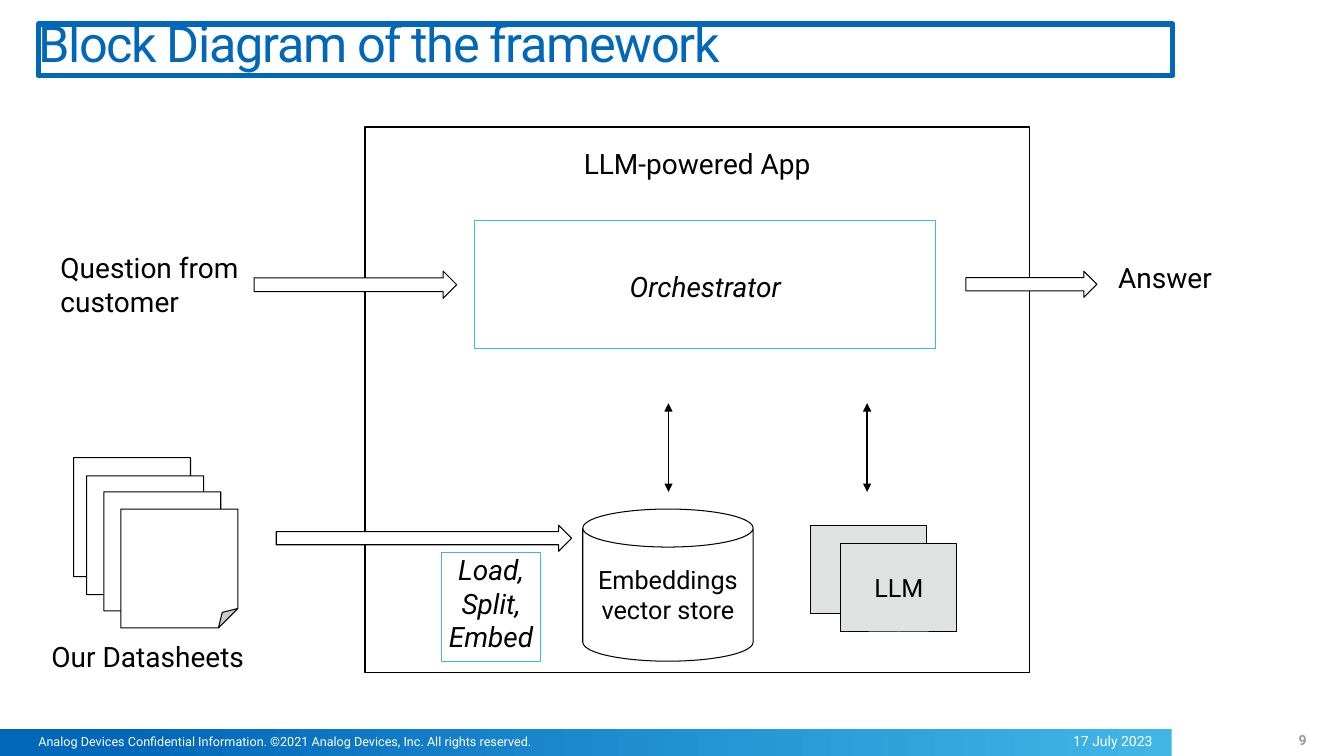
from lxml import etree
from pptx import Presentation
from pptx.dml.color import RGBColor
from pptx.enum.shapes import MSO_CONNECTOR, MSO_SHAPE
from pptx.enum.text import MSO_ANCHOR, PP_ALIGN
from pptx.oxml.ns import qn
from pptx.util import Emu, Pt

PX = 9144
FONT = "Roboto"
COLORS = {"black": "000000", "white": "FFFFFF", "blue": "0067B9",
          "sky": "41B6E6", "grey": "E0E1E1", "number": "98999D"}
RECT, CAN = MSO_SHAPE.RECTANGLE, MSO_SHAPE.CAN
SHEET, ARROW = MSO_SHAPE.FOLDED_CORNER, MSO_SHAPE.RIGHT_ARROW
STRAIGHT = MSO_CONNECTOR.STRAIGHT
LEFT, CENTER, RIGHT = PP_ALIGN.LEFT, PP_ALIGN.CENTER, PP_ALIGN.RIGHT
TOP, MIDDLE, BOTTOM = MSO_ANCHOR.TOP, MSO_ANCHOR.MIDDLE, MSO_ANCHOR.BOTTOM


def px(*values):
    """Turn px lengths into EMU."""
    return [Emu(v * PX) for v in values]


def rgb(name):
    """Look up a named colour."""
    return RGBColor.from_string(COLORS[name])


def add_box(s, kind, box, fill="white", line="black", width=0.75):
    """Add a flat preset shape; None leaves out its fill or line."""
    sp = s.shapes.add_shape(kind, *px(*box))
    sp.shadow.inherit = False
    if fill:
        sp.fill.solid()
        sp.fill.fore_color.rgb = rgb(fill)
    else:
        sp.fill.background()
    if line:
        sp.line.color.rgb = rgb(line)
        sp.line.width = Pt(width)
    else:
        sp.line.fill.background()
    return sp


def write(sp, text, size=20, color="black", bold=False, italic=False, align=LEFT,
          anchor=TOP, insets=(0, 0, 0, 0), spacing=None, tracking=None):
    """Put formatted text into a shape or text box."""
    tf = sp.text_frame
    tf.word_wrap = True
    tf.vertical_anchor = anchor
    tf.margin_left, tf.margin_top, tf.margin_right, tf.margin_bottom = px(*insets)
    p = tf.paragraphs[0]
    p.text = text
    p.alignment = align
    p.line_spacing = spacing
    for r in p.runs:
        r.font.name, r.font.size = FONT, Pt(size)
        r.font.bold, r.font.italic = bold, italic
        r.font.color.rgb = rgb(color)
        if tracking:
            r.font._element.set("spc", str(tracking))


def add_label(s, box, text, **fmt):
    """Add a text box."""
    write(s.shapes.add_textbox(*px(*box)), text, **fmt)


def add_double_arrow(s, x, top, bottom):
    """Add a vertical line with a head at each end."""
    line = s.shapes.add_connector(STRAIGHT, *px(x, top, x, bottom))
    line.line.color.rgb = rgb("black")
    line.line.width = Pt(1)
    ln = line.line._get_or_add_ln()
    for end in ("a:headEnd", "a:tailEnd"):
        etree.SubElement(ln, qn(end), type="triangle")
    etree.SubElement(line._element.spPr, qn("a:effectLst"))


def draw_footer(s, box):
    """Draw the gradient bar with copyright, date and page number."""
    x, y, w, h = box
    bar = add_box(s, RECT, (x, y, w - 171, h), line=None)
    bar.fill.gradient()
    bar.fill.gradient_angle = 180
    for stop, color, position in zip(bar.fill.gradient_stops, ("sky", "blue"), (0, 0.9)):
        stop.color.rgb = rgb(color)
        stop.position = position
    fmt = {"anchor": MIDDLE, "spacing": 0.8}
    add_label(s, (x + 38, y + 1, 881, 26),
              "Analog Devices Confidential Information. ©2021 Analog Devices, Inc. All rights reserved.",
              size=9, color="white", insets=(0, 10, 10, 10), **fmt)
    add_label(s, (x + 919, y + 1, 244, 26), "17 July 2023", size=10, color="white",
              align=RIGHT, insets=(0, 0, 20, 0), **fmt)
    add_label(s, (x + 1163, y, 133, 26), "9", size=10, color="number", bold=True,
              align=RIGHT, insets=(10, 10, 0, 10), **fmt)


def draw_title(s, box):
    """Draw the outlined slide title."""
    sp = add_box(s, RECT, box, fill=None, line="blue", width=4)
    write(sp, "Block Diagram of the framework", size=36, color="blue", anchor=BOTTOM,
          insets=(0, 0, 0, 3), spacing=0.8, tracking=-100)


def draw_app(s, box):
    """Draw the app frame with orchestrator, vector store and models."""
    x, y, w, h = box
    write(add_box(s, RECT, box), "LLM-powered App", align=CENTER, insets=(10, 19, 10, 5))
    write(add_box(s, RECT, (x + 109, y + 93, 457, 127), fill=None, line="sky"),
          "Orchestrator", italic=True, align=CENTER, insets=(0, 48, 0, 0))
    inner = {"size": 18, "align": CENTER, "anchor": MIDDLE, "insets": (10, 5, 10, 5)}
    write(add_box(s, CAN, (x + 216, y + 379, 169, 151)), "Embeddings vector store", **inner)
    for dx, dy in ((442, 395), (472, 413)):
        card = add_box(s, RECT, (x + dx, y + dy, 115, 88), fill="grey")
    write(card, "LLM", **inner)
    for dx in (301, 498):
        add_double_arrow(s, x + dx, y + 274, y + 362)


def draw_datasheets(s, box):
    """Draw the stack of sheets and its loading step."""
    x, y, w, h = box
    for dx, dy in ((22, 0), (35, 18), (52, 34), (69, 51)):
        add_box(s, SHEET, (x + dx, y + dy, 116, 118))
    add_label(s, (x, y + 180, 208, 40), "Our Datasheets")
    add_box(s, ARROW, (x + 223, y + 67, 293, 26))
    write(add_box(s, RECT, (x + w - 98, y + 94, 98, 108), fill=None, line="sky"),
          "Load, Split, Embed", italic=True, align=CENTER)


def draw_dialogue(s, box):
    """Draw the question coming in and the answer going out."""
    x, y, w, h = box
    add_label(s, (x, y, 190, h), "Question from\vcustomer")
    add_box(s, ARROW, (x + 192, y + 20, 201, 27))
    add_box(s, ARROW, (x + 898, y + 20, 130, 26))
    add_label(s, (x + 1049, y + 9, w - 1049, h), "Answer")


def main():
    """Build and save the slide."""
    prs = Presentation()
    prs.slide_width, prs.slide_height = px(1333, 750)
    s = prs.slides.add_slide(prs.slide_layouts[6])
    draw_footer(s, (0, 723, 1333, 27))
    draw_title(s, (38, 24, 1125, 51))
    draw_app(s, (362, 126, 659, 541))
    draw_datasheets(s, (51, 454, 485, 220))
    draw_dialogue(s, (60, 249, 1260, 97))
    prs.save("out.pptx")


if __name__ == "__main__":
    main()
